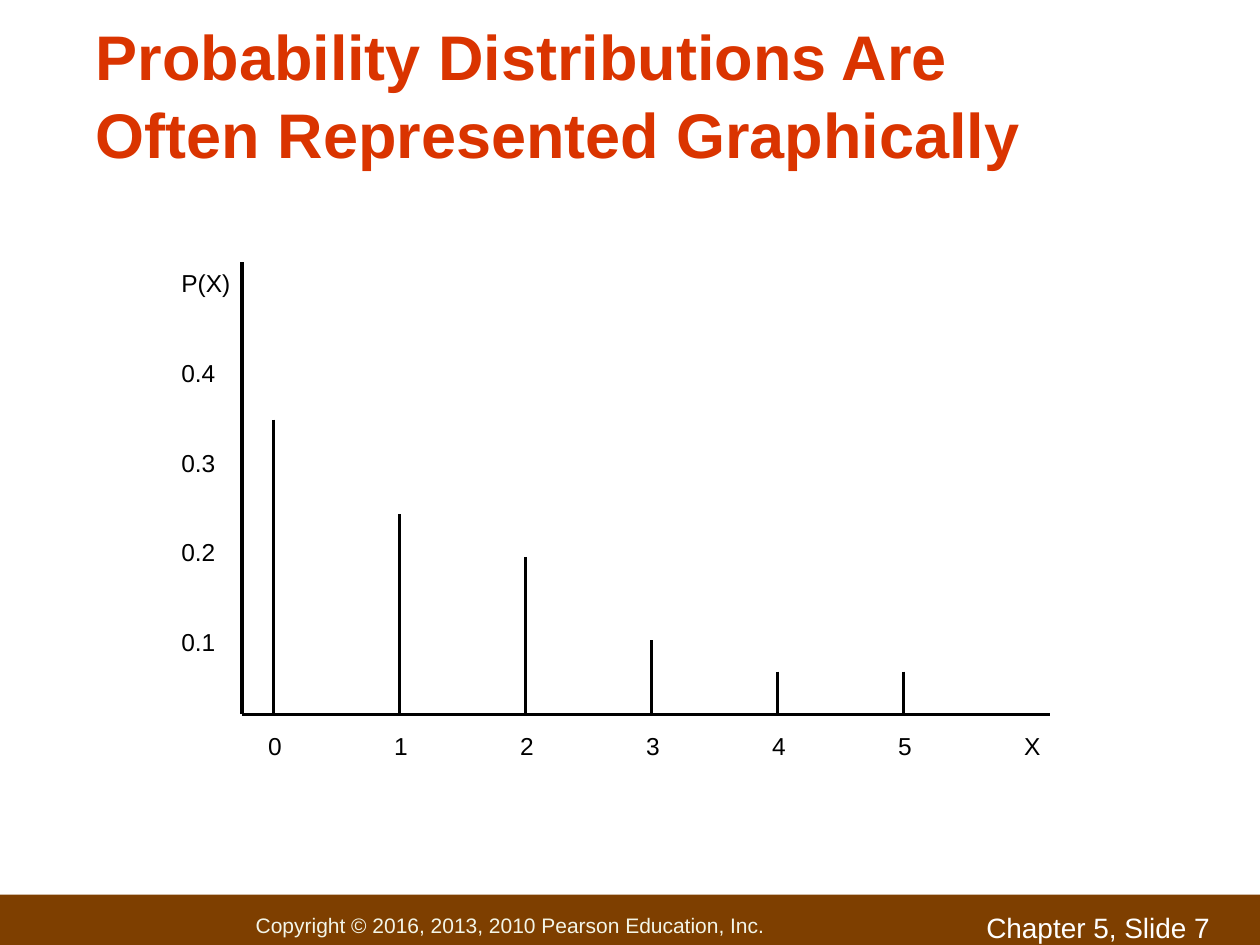
from lxml.etree import SubElement
from pptx import Presentation
from pptx.dml.color import RGBColor
from pptx.enum.shapes import MSO_CONNECTOR, MSO_SHAPE
from pptx.enum.text import MSO_ANCHOR, MSO_AUTO_SIZE, PP_ALIGN
from pptx.oxml.ns import qn
from pptx.util import Inches, Pt


def set_font(paragraph, size, color, bold=False):
    font = paragraph.font
    font.name, font.size, font.bold = "Arial", Pt(size), bold
    font.color.rgb = RGBColor.from_string(color)


def add_line(x1, y1, x2, y2):
    line = slide.shapes.add_connector(
        MSO_CONNECTOR.STRAIGHT, Inches(x1), Inches(y1), Inches(x2), Inches(y2))
    line.line.width = Pt(2)
    line.line.color.rgb = RGBColor.from_string("000000")
    SubElement(line._element.spPr, qn("a:effectLst"))


prs = Presentation()
prs.slide_width, prs.slide_height = Inches(10), Inches(7.5)
slide = prs.slides.add_slide(prs.slide_layouts[5])

# Title
title = slide.shapes.title
title.left, title.top = Inches(0.67), Inches(0.33)
title.width, title.height = Inches(8.07), Inches(1.08)
heading = title.text_frame
heading.text = "Probability Distributions Are Often Represented Graphically"
heading.auto_size = MSO_AUTO_SIZE.NONE
heading.vertical_anchor = MSO_ANCHOR.BOTTOM
heading.margin_left = heading.margin_right = Inches(0.09)
heading.paragraphs[0].alignment = PP_ALIGN.LEFT
heading.paragraphs[0].line_spacing = 1.04
set_font(heading.paragraphs[0], 36, "DA3400", bold=True)

# Footer
footer = slide.shapes.add_shape(
    MSO_SHAPE.RECTANGLE, 0, Inches(7.1), prs.slide_width, Inches(0.49))
footer.shadow.inherit = False
footer.fill.solid()
footer.fill.fore_color.rgb = RGBColor.from_string("7E3F00")
footer.line.fill.background()
notice = footer.text_frame
notice.text = "Copyright © 2016, 2013, 2010 Pearson Education, Inc."
notice.margin_left = Inches(2.03)
notice.vertical_anchor = MSO_ANCHOR.MIDDLE
notice.paragraphs[0].alignment = PP_ALIGN.LEFT
set_font(notice.paragraphs[0], 12, "F3F5E7")

chapter = slide.shapes.add_textbox(
    Inches(7.73), Inches(7.18), Inches(2.33), Inches(0.26)).text_frame
chapter.text = "Chapter 5, Slide 7"
chapter.word_wrap = True
set_font(chapter.paragraphs[0], 16, "FFFFFF")

# Axes and one spike per value of X, one inch apart
origin_x, origin_y = 1.92, 5.67
add_line(origin_x, 2.08, origin_x, origin_y)
add_line(origin_x, origin_y, 8.33, origin_y)
for x, spike_top in enumerate([3.33, 4.08, 4.42, 5.08, 5.33, 5.33]):
    add_line(2.17 + x, spike_top, 2.17 + x, origin_y)

# Axis labels
probabilities = slide.shapes.add_textbox(
    Inches(1.34), Inches(2.08), Inches(0.59), Inches(3.14)).text_frame
probabilities.word_wrap = False
probabilities.text = "P(X)\n0.4\n0.3\n0.2\n0.1"
for i, label in enumerate(probabilities.paragraphs):
    if i:
        label.space_before = Pt(34.4)
    set_font(label, 14, "000000")

values = slide.shapes.add_textbox(
    Inches(2.03), Inches(5.75), Inches(6.33), Inches(0.34)).text_frame
values.word_wrap = True
values.text = "0\t1\t2\t3\t4\t5\tX"
tab_stops = SubElement(values.paragraphs[0]._p.get_or_add_pPr(), qn("a:tabLst"))
for stop in range(1, 7):
    SubElement(tab_stops, qn("a:tab"), pos=str(Inches(stop)), algn="l")
set_font(values.paragraphs[0], 14, "000000")

prs.save("out.pptx")
